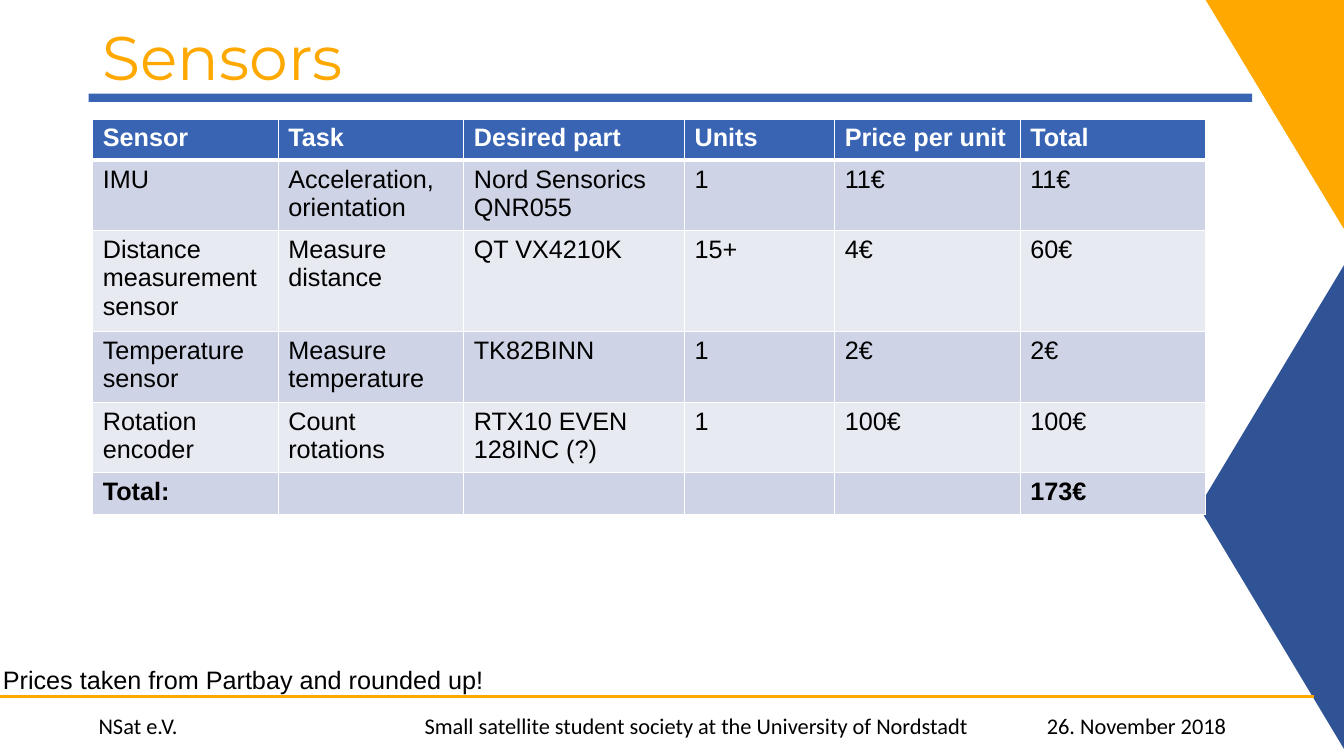
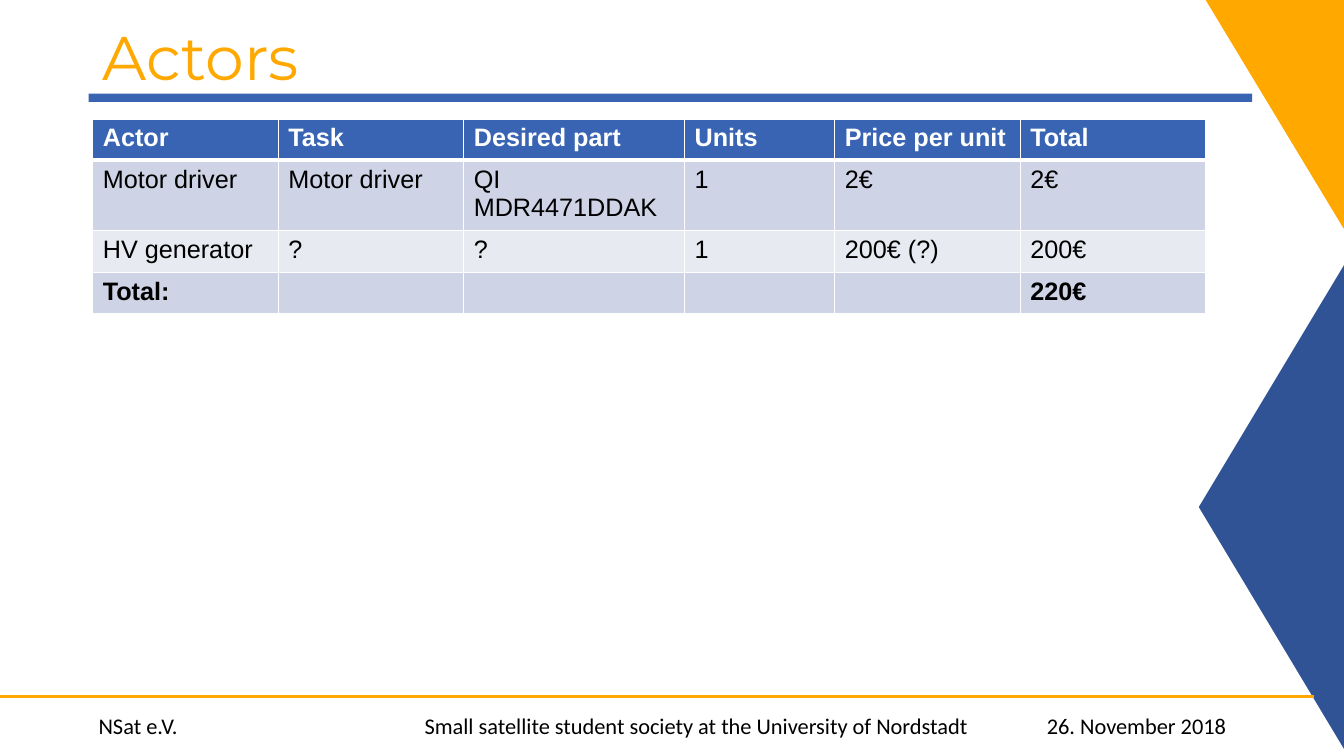
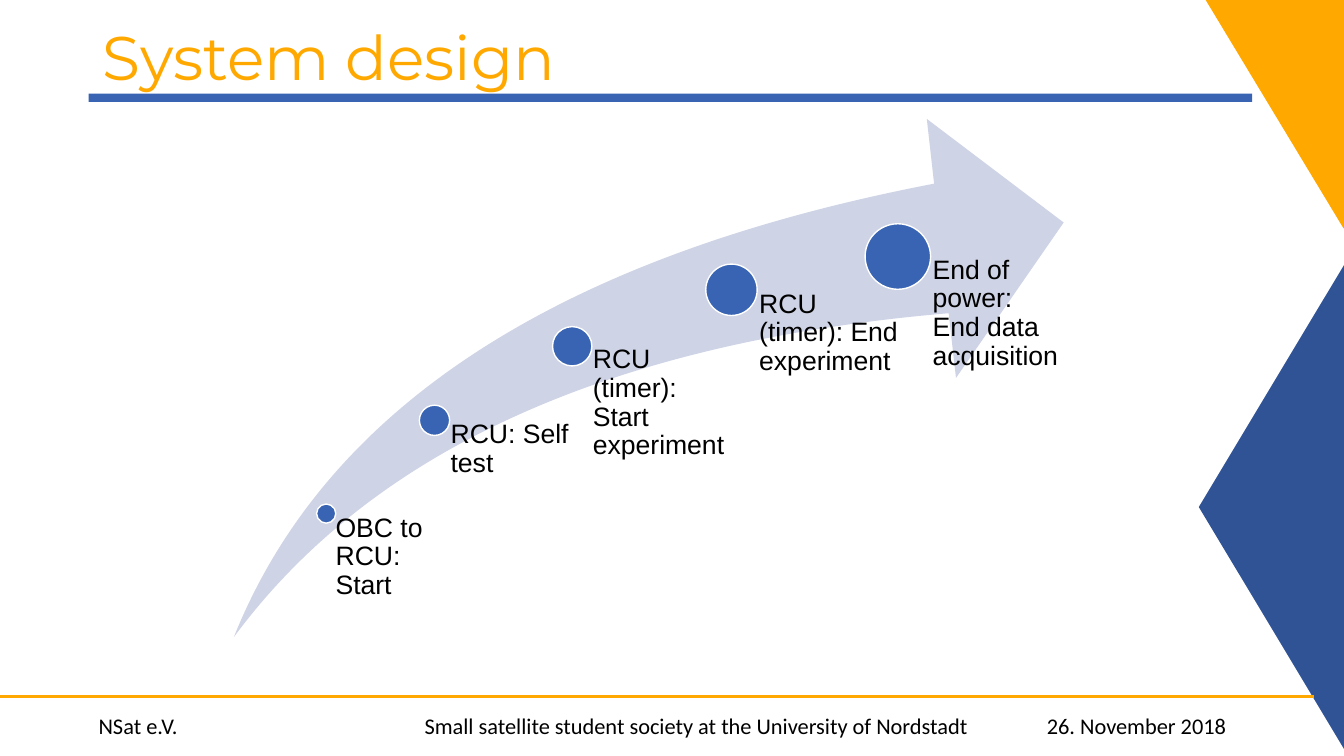
from dataclasses import dataclass

from lxml import etree
from pptx import Presentation
from pptx import util as u
from pptx.dml.color import RGBColor
from pptx.enum import shapes, text
from pptx.oxml.ns import qn

PX = 9144  # EMU per px, 100 px to the inch
COLORS = {
    "orange": "FFA800",
    "blue": "3864B3",
    "navy": "2F5395",
    "band_dark": "CED3E5",
    "band_light": "E8EAF2",
    "white": "FFFFFF",
    "black": "000000",
}
SHAPE = shapes.MSO_SHAPE
ALIGN = text.PP_ALIGN
ANCHOR = text.MSO_ANCHOR


@dataclass(frozen=True)
class Box:
    x: int
    y: int
    w: int
    h: int

    def emu(self) -> tuple[int, ...]:
        return tuple(v * PX for v in (self.x, self.y, self.w, self.h))


@dataclass(frozen=True)
class Footer:
    words: str
    box: Box
    align: ALIGN


@dataclass(frozen=True)
class Step:
    words: str
    cx: int
    cy: int
    size: int
    label_w: int


TITLE_BOX = Box(92, 22, 1104, 71)
TABLE_X, TABLE_Y, ROW_H = 92, 118, 41
COL_WIDTHS = [184, 184, 219, 149, 184, 184]
SWOOSH = Box(232, 118, 823, 514)

FOOTERS = [
    Footer("NSat e.V.", Box(88, 700, 203, 40), ALIGN.LEFT),
    Footer("Small satellite student society at the University of Nordstadt",
           Box(384, 700, 613, 40), ALIGN.CENTER),
    Footer("26. November 2018", Box(972, 700, 254, 40), ALIGN.RIGHT),
]

PART_HEADS = ["Task", "Desired part", "Units", "Price per unit", "Total"]
SENSORS = [
    ["Sensor", *PART_HEADS],
    ["IMU", "Acceleration, orientation", "Nord Sensorics QNR055", "1", "11€", "11€"],
    ["Distance measurement sensor", "Measure distance", "QT VX4210K", "15+", "4€", "60€"],
    ["Temperature sensor", "Measure temperature", "TK82BINN", "1", "2€", "2€"],
    ["Rotation encoder", "Count rotations", "RTX10 EVEN 128INC (?)", "1", "100€", "100€"],
    ["Total:", "", "", "", "", "173€"],
]
ACTORS = [
    ["Actor", *PART_HEADS],
    ["Motor driver", "Motor driver", "QI MDR4471DDAK", "1", "2€", "2€"],
    ["HV generator", "?", "?", "1", "200€ (?)", "200€"],
    ["Total:", "", "", "", "", "220€"],
]
STEPS = [
    Step("OBC to RCU: Start", 323, 510, 19, 108),
    Step("RCU: Self test", 431, 417, 30, 137),
    Step("RCU (timer): Start experiment", 567, 343, 39, 159),
    Step("RCU (timer): End experiment", 726, 288, 51, 165),
    Step("End of power: End data acquisition", 891, 254, 65, 165),
]


def rgb(name: str) -> RGBColor:
    return RGBColor.from_string(COLORS[name])


def style_text(tf, font: str, size: int, color: str = "black", bold: bool = False,
               align: ALIGN = ALIGN.LEFT, spacing: float = 1.0) -> None:
    for p in tf.paragraphs:
        p.alignment = align
        p.line_spacing = spacing
        for r in p.runs:
            r.font.name = font
            r.font.size = u.Pt(size)
            r.font.bold = bold
            r.font.color.rgb = rgb(color)


def add_label(s, words: str, box: Box, anchor: ANCHOR = ANCHOR.TOP):
    tf = s.shapes.add_textbox(*box.emu()).text_frame
    tf.word_wrap = True
    tf.vertical_anchor = anchor
    tf.text = words
    return tf


def add_figure(s, kind: SHAPE, box: Box, fill: str, line: str | None = None,
               rotation: int = 0):
    sp = s.shapes.add_shape(kind, *box.emu())
    sp.shadow.inherit = False
    sp.rotation = rotation
    sp.fill.solid()
    sp.fill.fore_color.rgb = rgb(fill)
    if line:
        sp.line.color.rgb = rgb(line)
        sp.line.width = u.Pt(1)
    else:
        sp.line.fill.background()
    return sp


def add_slide(prs, title: str):
    """Add a slide with the shared corner shapes, rules, footers and title."""
    s = prs.slides.add_slide(prs.slide_layouts[5])

    # Right edge
    add_figure(s, SHAPE.RIGHT_TRIANGLE, Box(1196, -1, 137, 227), "orange", "orange", 180)
    edge = add_figure(s, SHAPE.ISOSCELES_TRIANGLE, Box(1021, 431, 480, 144), "navy",
                      rotation=270)
    edge.adjustments[0] = 0.5

    # Title rule and footer rule
    add_figure(s, SHAPE.RECTANGLE, Box(88, 93, 1154, 8), "blue")
    rule = s.shapes.add_connector(shapes.MSO_CONNECTOR.STRAIGHT,
                                  0, 691 * PX, 1303 * PX, 691 * PX)
    rule.line.color.rgb = rgb("orange")
    rule.line.width = u.Pt(1.5)
    etree.SubElement(rule._element.spPr, qn("a:effectLst"))

    # Footers
    for footer in FOOTERS:
        tf = add_label(s, footer.words, footer.box, ANCHOR.MIDDLE)
        style_text(tf, "Calibri", 16, align=footer.align)

    # Title
    sp = s.shapes.title
    sp.left, sp.top, sp.width, sp.height = TITLE_BOX.emu()
    tf = sp.text_frame
    tf.text = title
    tf.auto_size = text.MSO_AUTO_SIZE.NONE
    tf.vertical_anchor = ANCHOR.TOP
    style_text(tf, "Montserrat", 44, "orange", spacing=0.9)
    return s


def set_borders(cell, bottom: float) -> None:
    tc_pr = cell._tc.get_or_add_tcPr()
    for side, width in (("L", 1), ("R", 1), ("T", 1), ("B", bottom)):
        ln = etree.SubElement(tc_pr, qn(f"a:ln{side}"), w=str(u.Pt(width)))
        fill = etree.SubElement(ln, qn("a:solidFill"))
        etree.SubElement(fill, qn("a:srgbClr"), val=COLORS["white"])


def add_parts_table(s, rows: list[list[str]]) -> None:
    box = Box(TABLE_X, TABLE_Y, sum(COL_WIDTHS), ROW_H * len(rows))
    table = s.shapes.add_table(len(rows), len(COL_WIDTHS), *box.emu()).table
    table.first_row = table.horz_banding = False
    for column, width in zip(table.columns, COL_WIDTHS):
        column.width = width * PX
    for i, row in enumerate(rows):
        head, last = i == 0, i == len(rows) - 1
        fill = "blue" if head else "band_dark" if i % 2 else "band_light"
        for j, words in enumerate(row):
            cell = table.cell(i, j)
            set_borders(cell, 3 if head else 1)
            cell.fill.solid()
            cell.fill.fore_color.rgb = rgb(fill)
            cell.text_frame.text = words
            style_text(cell.text_frame, "Arial", 18, "white" if head else "black",
                       bold=head or last)


def add_step(s, step: Step) -> None:
    """Draw a dot and its label, which starts at the dot's centre."""
    half = step.size / 2
    dot = Box(round(step.cx - half), round(step.cy - half), step.size, step.size)
    add_figure(s, SHAPE.OVAL, dot, "blue", "white")
    label = Box(step.cx, step.cy, step.label_w, SWOOSH.y + SWOOSH.h - step.cy)
    tf = add_label(s, step.words, label)
    tf.margin_left = round(step.size * 0.53) * PX
    tf.margin_top = tf.margin_right = tf.margin_bottom = 0
    style_text(tf, "Arial", 19, spacing=0.9)


def main() -> None:
    prs = Presentation()
    prs.slide_width, prs.slide_height = 1333 * PX, 750 * PX

    # Sensors
    s = add_slide(prs, "Sensors")
    add_parts_table(s, SENSORS)
    note = add_label(s, "Prices taken from Partbay and rounded up!", Box(-7, 654, 1139, 40))
    style_text(note, "Arial", 18)

    # Actors
    s = add_slide(prs, "Actors")
    add_parts_table(s, ACTORS)

    # System design
    s = add_slide(prs, "System design")
    arrow = add_figure(s, SHAPE.SWOOSH_ARROW, SWOOSH, "band_dark")
    arrow.adjustments[0] = arrow.adjustments[1] = 0.25
    for step in STEPS:
        add_step(s, step)

    prs.save("out.pptx")


if __name__ == "__main__":
    main()
